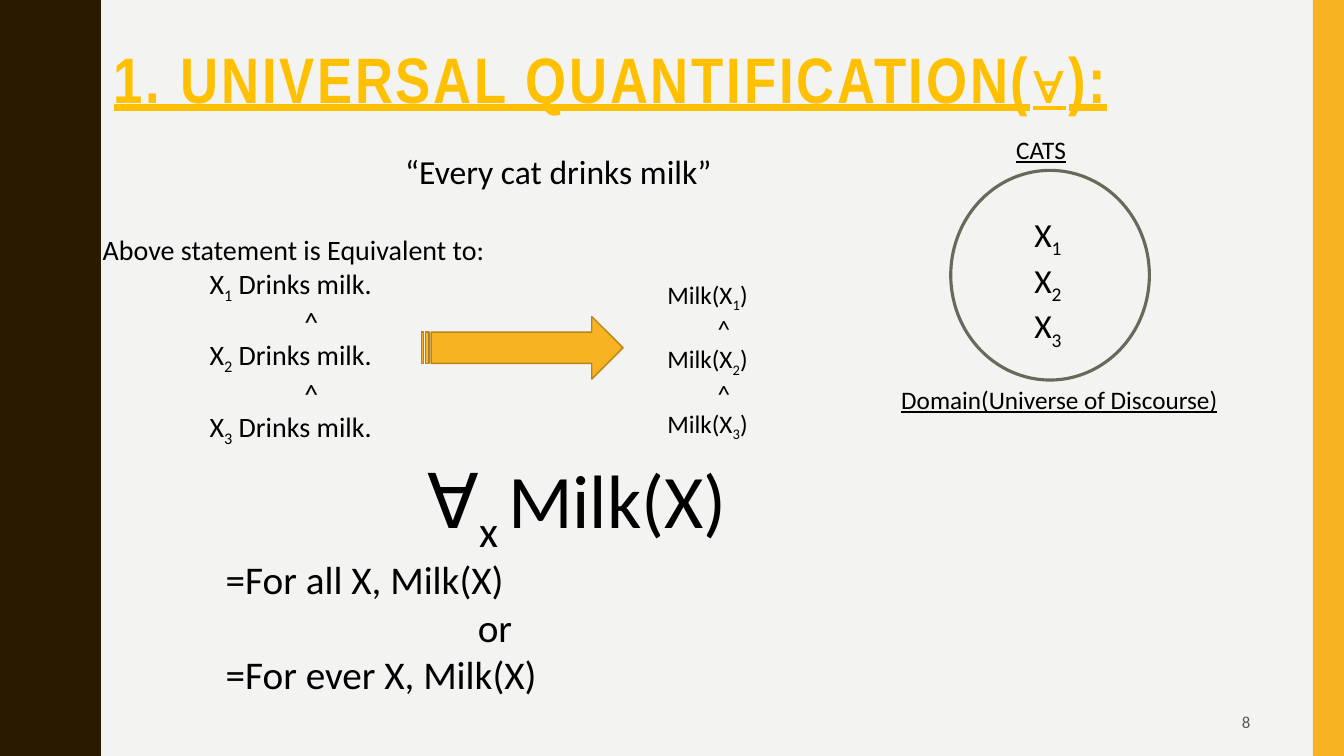
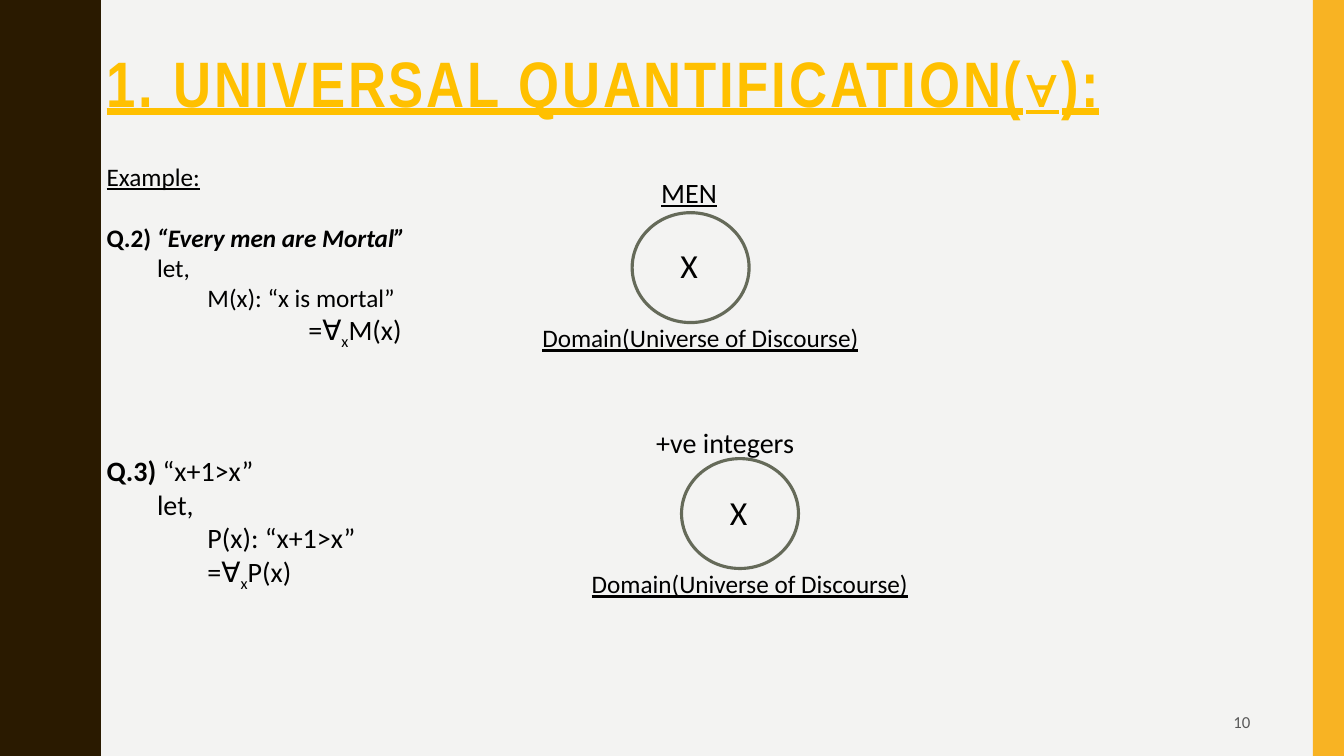
from pptx import Presentation
from pptx.dml.color import RGBColor
from pptx.enum.shapes import MSO_SHAPE as Shape
from pptx.enum.text import MSO_ANCHOR as Anchor, PP_ALIGN as Align
from pptx.util import Inches, Pt

# Shared look
PAPER = RGBColor(0xF3, 0xF3, 0xF2)
BROWN = RGBColor(0x2A, 0x1A, 0x00)
AMBER = RGBColor(0xF8, 0xB3, 0x23)
AMBER_EDGE = RGBColor(0xB7, 0x84, 0x1A)
GOLD = RGBColor(0xFF, 0xC0, 0x00)
OLIVE = RGBColor(0x65, 0x6A, 0x59)
GREY = RGBColor(0x59, 0x59, 0x59)
BLACK = RGBColor(0x00, 0x00, 0x00)
BODY_FONT, TITLE_FONT = "Calibri", "Arial Narrow"
WIDTH, HEIGHT = 13.33, 7.5
STEP = 0.5  # indent step in inches
BAND = 0.31
WAVES = 5
# Half of one wave of the left edge, as (down, across)
HALF_WAVE = [(0, .78), (.07, .78), (.14, .79), (.2, .8), (.25, .81), (.29, .83),
             (.33, .85), (.38, .87), (.42, .89), (.46, .91), (.5, .93),
             (.55, .95), (.61, .96), (.68, .97), (.75, .97)]

# Content: run = (text, marks) with b bold, i italic, u underline, s subscript
# line = (indent steps, size, space before, runs)
TITLE = [("1. UNIVERSAL QUANTIFICATION(", 45.9, "bu"), ("∀", 39.6, "u"), ("):", 45.9, "bu")]
DOMAIN = "Domain(Universe of Discourse)"
AND = "^"


def plain(text, size, steps=0, gap=0, marks=""):
    return steps, size, gap, [(text, marks)]


def joined(items, steps, size):
    """Lines of runs with the AND sign between them."""
    lines = []
    for item in items:
        if lines:
            lines.append(plain(AND, size, steps[1]))
        lines.append((steps[0], size, 0, item))
    return lines


CATS = ("1", "2", "3")
DRINKS = [[("X", ""), (n, "s"), (" Drinks milk.", "")] for n in CATS]
MILK = [[("Milk(X", ""), (n, "s"), (")", "")] for n in CATS]

SLIDES = [
    {
        "number": "8",
        "title_at": (1.03, 0.43),
        "texts": [
            ((0.92, 1.45, 8.2, 2.93),
             [plain("“Every cat drinks milk”", 24, 6),
              plain("Above statement is Equivalent to:", 20, 0, 29.3)]
             + joined(DRINKS, (2.12, 4), 20)),
            ((6.52, 2.72, 1.28, 2.22), joined(MILK, (0, 1), 18)),
            ((2.14, 4.44, 7.11, 2.42),
             [(4, 54, 0, [("∀", ""), ("x ", "s"), ("Milk(X)", "")]),
              plain("=For all X, Milk(X)", 28),
              plain("or", 28, 5),
              plain("=For ever X, Milk(X)", 28)]),
        ],
        "arrow": (4.18, 3.14, 2, 0.62),
        "diagrams": [
            {"circle": (9.43, 1.69, 1.97, 2.08),
             "caption": (9.98, 1.28, plain("CATS", 18, marks="u")),
             "members": (10.16, 2.07, [(0, 24, 0, [("X", ""), (n, "s")]) for n in CATS]),
             "domain": (8.84, 3.76)},
        ],
    },
    {
        "number": "10",
        "title_at": (0.96, 0.47),
        "texts": [
            ((0.96, 1.55, 4.3, 4.95),
             [plain("Example:", 18, marks="u"),
              (0, 18, 22, [("Q.2) ", "b"), ("“Every men are Mortal”", "bi")]),
              plain("let,", 18, 1),
              plain("M(x): “x is mortal”", 18, 2),
              (4, 20, 0, [("=∀", ""), ("x", "s"), ("M(x)", "")]),
              (0, 20, 73.2, [("Q.3) ", "b"), ("“x+1>x”", "")]),
              plain("let,", 20, 1),
              plain("P(x): “x+1>x”", 20, 2),
              (2, 20, 0, [("=∀", ""), ("x", "s"), ("P(x)", "")])]),
        ],
        "diagrams": [
            {"circle": (6.27, 2.11, 1.16, 1.09),
             "caption": (6.46, 1.69, plain("MEN", 20, marks="u")),
             "members": (6.65, 2.38, [plain("X", 24)]),
             "domain": (5.28, 3.15)},
            {"circle": (6.76, 4.55, 1.16, 1.09),
             "caption": (6.41, 4.17, plain("+ve integers", 20)),
             "members": (7.14, 4.83, [plain("X", 24)]),
             "domain": (5.77, 5.59)},
        ],
    },
]


# Drawing helpers
def inches(box):
    return [Inches(value) for value in box]


def add_run(paragraph, text, size, marks="", color=BLACK, font_name=BODY_FONT):
    run = paragraph.add_run()
    run.text = text
    font = run.font
    font.name, font.size = font_name, Pt(size)
    font.color.rgb = color
    font.bold, font.italic, font.underline = ("b" in marks, "i" in marks, "u" in marks)
    if "s" in marks:
        run._r.get_or_add_rPr().set("baseline", "-25000")
    return run


def add_frame(slide, box):
    frame = slide.shapes.add_textbox(*inches(box)).text_frame
    frame.word_wrap = True
    return frame


def add_text(slide, box, lines):
    frame = add_frame(slide, box)
    for index, (steps, size, gap, runs) in enumerate(lines):
        paragraph = frame.add_paragraph() if index else frame.paragraphs[0]
        if steps:
            properties = paragraph._p.get_or_add_pPr()
            properties.set("marL", str(Inches(steps * STEP)))
            properties.set("indent", "0")
        if gap:
            paragraph.space_before = Pt(gap)
        for text, marks in runs:
            add_run(paragraph, text, size, marks)


def style(shape, fill=None, line=None, width=1):
    shape.shadow.inherit = False
    if fill is None:
        shape.fill.background()
    else:
        shape.fill.solid()
        shape.fill.fore_color.rgb = fill
    if line is None:
        shape.line.fill.background()
    else:
        shape.line.color.rgb = line
        shape.line.width = Pt(width)


def add_wave(slide):
    period = 2 * HALF_WAVE[-1][0]
    wave = HALF_WAVE + [(period - y, x) for y, x in reversed(HALF_WAVE[:-1])]
    edge = [(x, n * period + y) for n in range(WAVES) for y, x in wave]
    builder = slide.shapes.build_freeform(0, 0, scale=Inches(1))
    builder.add_line_segments(edge + [(0, HEIGHT)], close=True)
    style(builder.convert_to_shape(), BROWN)


def add_base(slide, title_at, number):
    """Background, side bands, title and slide number."""
    slide.background.fill.solid()
    slide.background.fill.fore_color.rgb = PAPER
    add_wave(slide)
    band = slide.shapes.add_shape(Shape.RECTANGLE, *inches((WIDTH - BAND, 0, BAND, HEIGHT)))
    style(band, AMBER)

    title = add_frame(slide, (*title_at, 10.4, 0.98)).paragraphs[0]
    title.line_spacing = 0.9
    for text, size, marks in TITLE:
        run = add_run(title, text, size, marks, GOLD, TITLE_FONT)
        run._r.get_or_add_rPr().set("spc", "200")

    footer = add_frame(slide, (9.42, 6.97, 3.08, 0.38))
    footer.vertical_anchor = Anchor.MIDDLE
    footer.paragraphs[0].alignment = Align.RIGHT
    add_run(footer.paragraphs[0], number, 12, color=GREY)


def add_diagram(slide, circle, caption, members, domain):
    """A circle for the domain with its members and two labels."""
    style(slide.shapes.add_shape(Shape.OVAL, *inches(circle)), line=OLIVE, width=2.25)
    left, top, lines = members
    add_text(slide, (left, top, 0.69, 0.1 + 0.4 * len(lines)), lines)
    add_text(slide, (*domain, 3.88, 0.4), [plain(DOMAIN, 18, marks="u")])
    left, top, line = caption
    add_text(slide, (left, top, 2.29, 0.4), [line])


def main():
    presentation = Presentation()
    presentation.slide_width, presentation.slide_height = inches((WIDTH, HEIGHT))
    for content in SLIDES:
        slide = presentation.slides.add_slide(presentation.slide_layouts[6])
        add_base(slide, content["title_at"], content["number"])
        for box, lines in content["texts"]:
            add_text(slide, box, lines)
        for diagram in content["diagrams"]:
            add_diagram(slide, **diagram)
        if "arrow" in content:
            arrow = slide.shapes.add_shape(Shape.STRIPED_RIGHT_ARROW, *inches(content["arrow"]))
            style(arrow, AMBER, AMBER_EDGE)
    presentation.save("out.pptx")


if __name__ == "__main__":
    main()
